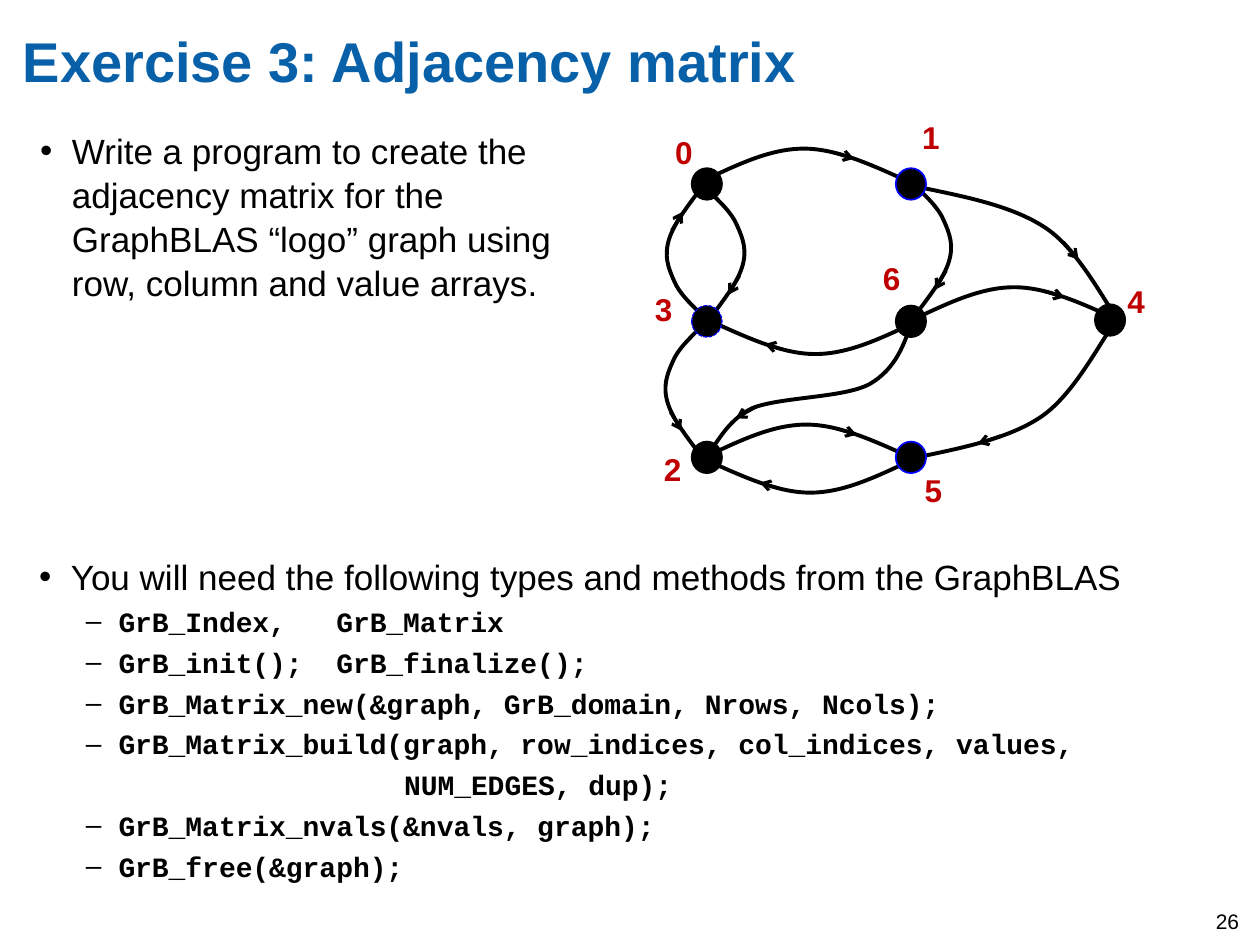
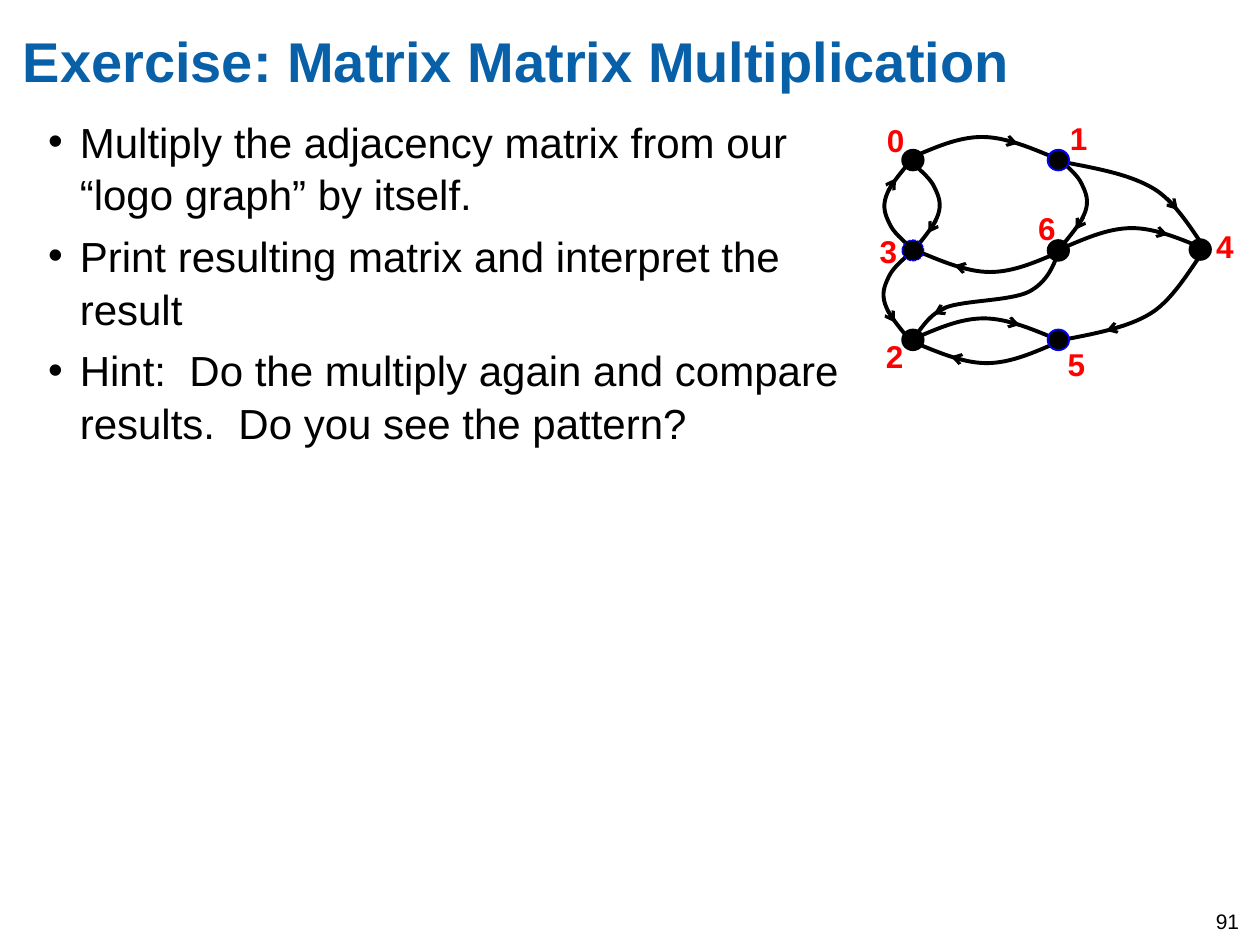
from lxml.etree import SubElement
from pptx import Presentation
from pptx.dml.color import RGBColor
from pptx.enum.dml import MSO_LINE
from pptx.enum.shapes import MSO_CONNECTOR as CONNECTOR, MSO_SHAPE as SHAPE
from pptx.oxml.ns import qn
from pptx.util import Cm, Pt

BLACK = RGBColor(0, 0, 0)
BLUE = RGBColor(0, 0, 0xFF)
TITLE_BLUE = RGBColor(0x08, 0x60, 0xA8)
DARK_RED = RGBColor(0xC0, 0, 0)
RED = RGBColor(0xFF, 0, 0)

# Paragraph styles: left margin, first-line indent, bullet, font, size, bold
PLAIN = (0, 0, None, "Arial", 12, False)
TITLE = (0, 0, None, "Arial", 32, True)
LABEL = (0, 0, None, "Arial", 18, True)
POINT = (0.64, -0.64, "•", "Arial", 20, False)
BIG_POINT = (0.64, -0.64, "•", "Arial", 24, False)
CODE = (1.6, -0.66, "–", "Courier New", 16, True)
CODE_MORE = (0.94, 0, None, "Courier New", 16, True)

# Edge curves: Bezier points relative to the start, then the arrow's ends
outer_points = [(-0.10, 0.12), (-0.32, 0.57), (-0.59, 0.75),
                (-0.86, 0.93), (-1.24, 1.00), (-1.62, 1.08)]
CURVES = {
    "arch": ([(0.26, -0.12), (0.52, -0.25), (0.79, -0.25),
              (1.06, -0.25), (1.35, -0.11), (1.64, 0.02)],
             [(1.02, -0.22), (1.19, -0.17)]),
    "bulge": ([(0.10, 0.10), (0.20, 0.19), (0.24, 0.29),
               (0.29, 0.40), (0.32, 0.49), (0.28, 0.62),
               (0.24, 0.75), (0.12, 0.90), (0, 1.06)],
              [(0.26, 0.69), (0.17, 0.84)]),
    "wave": ([(0.07, -0.06), (0.15, -0.27), (0.36, -0.37),
              (0.58, -0.46), (1.08, -0.45), (1.29, -0.56),
              (1.50, -0.68), (1.57, -0.88), (1.63, -1.07)],
             [(0.39, -0.38), (0.23, -0.29)]),
    "outer in": (outer_points, [(-0.45, 0.64), (-0.33, 0.50)]),
    "outer out": (outer_points, [(-0.91, 0.90), (-1.09, 0.96)]),
}

# Edges: curve, start x and y, horizontal and vertical direction
EDGES = [
    ("bulge", 0.59, 1.52, -1, -1),     # 3 to 0
    ("bulge", 0.61, 0.50, 1, 1),       # 0 to 3
    ("arch", 0.59, 0.43, 1, 1),        # 0 to 1
    ("wave", 0.61, 2.61, 1, 1),        # 6 to 2
    ("arch", 2.26, 1.53, 1, 1),        # 6 to 4
    ("arch", 0.61, 2.62, 1, 1),        # 2 to 5
    ("arch", 2.22, 2.66, -1, -1),      # 5 to 2
    ("arch", 2.26, 1.56, -1, -1),      # 6 to 3
    ("bulge", 0.58, 1.58, -1, 1),      # 3 to 2
    ("bulge", 2.25, 0.46, 1, 1),       # 1 to 6
    ("outer out", 3.85, 1.56, 1, 1),   # 4 to 5
    ("outer in", 3.89, 1.56, 1, -1),   # 1 to 4
]

# Nodes: centre, outline colour, label corner
NODES = [
    (0.61, 0.46, BLACK, 0.26, 0.01),
    (2.23, 0.46, BLUE, 2.22, -0.11),
    (0.61, 2.63, BLACK, 0.17, 2.52),
    (0.61, 1.55, BLUE, 0.10, 1.25),
    (3.81, 1.54, BLACK, 3.85, 1.19),
    (2.23, 2.63, BLUE, 2.24, 2.69),
    (2.23, 1.55, BLACK, 1.91, 1.01),
]
NODE_WIDTH, NODE_HEIGHT = 0.24, 0.25


def add_text(shapes, area, lines, color=BLACK, inset=None, wrap=True):
    """Add a text box; lines holds (text, paragraph style) pairs."""
    box = shapes.add_textbox(*[Cm(length) for length in area])
    frame = box.text_frame
    frame.word_wrap = wrap
    if inset is not None:
        frame.margin_left = frame.margin_right = Cm(inset)
        frame.margin_top = frame.margin_bottom = Cm(inset)
    for number, (text, style) in enumerate(lines):
        margin, indent, bullet, font, size, bold = style
        para = frame.paragraphs[0] if number == 0 else frame.add_paragraph()
        para.text = text
        if margin:
            properties = para._p.get_or_add_pPr()
            properties.set("marL", str(Cm(margin)))
            properties.set("indent", str(Cm(indent)))
            if bullet:
                SubElement(properties, qn("a:buFont"), typeface="Arial")
                SubElement(properties, qn("a:buChar"), char=bullet)
            else:
                SubElement(properties, qn("a:buNone"))
            para.line_spacing = 1.05
            if number:
                para.space_before = Pt(0.2 * size)
        for span in para.runs:
            span.font.name = font
            span.font.size = Pt(size)
            span.font.bold = bold
            span.font.color.rgb = color


def add_graph(page, left, top, scale_x, scale_y, label_color, nudges):
    """Draw the seven-node graph; nudges shifts single labels, in cm."""
    shapes = page.shapes.add_group_shape().shapes

    # Edges with their arrows
    for name, start_x, start_y, flip_x, flip_y in EDGES:
        points, arrow = [
            [(Cm(left + scale_x * (start_x + flip_x * x)),
              Cm(top + scale_y * (start_y + flip_y * y))) for x, y in part]
            for part in CURVES[name]]
        builder = shapes.build_freeform(Cm(left + scale_x * start_x),
                                        Cm(top + scale_y * start_y))
        builder.add_line_segments(points, close=False)
        edge = builder.convert_to_shape()
        edge.fill.background()
        edge.shadow.inherit = False
        edge.line.color.rgb = BLACK
        edge.line.width = Pt(2.25)

        # Every three line segments become one Bezier segment
        segments = list(edge.element.iter(qn("a:lnTo")))
        for first, second, third in zip(*[iter(segments)] * 3):
            first.tag = qn("a:cubicBezTo")
            for extra in (second, third):
                first.append(extra[0])
                extra.getparent().remove(extra)

        tip = shapes.add_connector(CONNECTOR.STRAIGHT, *arrow[0], *arrow[1])
        tip.line.color.rgb = BLACK
        tip.line.width = Pt(1.75)
        SubElement(tip.element.find(".//" + qn("a:ln")), qn("a:tailEnd"), type="arrow")
        SubElement(tip.element.spPr, qn("a:effectLst"))

    # Nodes with their labels
    for number, (x, y, outline, label_x, label_y) in enumerate(NODES):
        node = shapes.add_shape(
            SHAPE.OVAL,
            Cm(left + scale_x * (x - NODE_WIDTH / 2)),
            Cm(top + scale_y * (y - NODE_HEIGHT / 2)),
            Cm(scale_x * NODE_WIDTH), Cm(scale_y * NODE_HEIGHT))
        node.shadow.inherit = False
        node.fill.solid()
        node.fill.fore_color.rgb = BLACK
        node.line.color.rgb = outline
        node.line.width = Pt(1)
        if number == 3:
            node.line.width = Pt(0.75)
            node.line.dash_style = MSO_LINE.SQUARE_DOT
        shift_x, shift_y = nudges.get(number, (0, 0))
        area = (left + scale_x * label_x + shift_x,
                top + scale_y * label_y + shift_y, 0.86, 1.02)
        add_text(shapes, area, [(str(number), LABEL)], label_color, wrap=False)


deck = Presentation()
deck.slide_width, deck.slide_height = Cm(25.4), Cm(19.05)

# Shared title and page number
pages = []
for title, number in [("Exercise 3: Adjacency matrix", "26"),
                      ("Exercise: Matrix Matrix Multiplication", "91")]:
    page = deck.slides.add_slide(deck.slide_layouts[6])
    add_text(page.shapes, (0.46, 0.53, 24.94, 2.46), [(title, TITLE)], TITLE_BLUE, 0)
    add_text(page.shapes, (24.26, 18.19, 1.14, 0.84), [(number, PLAIN)], wrap=False)
    pages.append(page)
matrix_page, product_page = pages

# Adjacency matrix: task, types and methods, graph
add_text(matrix_page.shapes, (0.81, 2.57, 11.66, 6.2), [
    ("Write a program to create the adjacency matrix for the GraphBLAS “logo” "
     "graph using row, column and value arrays.", POINT)], inset=0)
add_text(matrix_page.shapes, (0.79, 11.15, 23.9, 7.14), [
    ("You will need the following types and methods from the GraphBLAS", POINT),
    ("GrB_Index,   GrB_Matrix", CODE),
    ("GrB_init();  GrB_finalize();", CODE),
    ("GrB_Matrix_new(&graph, GrB_domain, Nrows, Ncols);", CODE),
    ("GrB_Matrix_build(graph, row_indices, col_indices, values,", CODE),
    ("                   NUM_EDGES, dup);", CODE_MORE),
    ("GrB_Matrix_nvals(&nvals, graph);", CODE),
    ("GrB_free(&graph);", CODE)], inset=0)
add_graph(matrix_page, 12.7, 2.54, 2.54, 2.54, DARK_RED, {})

# Matrix multiplication: task and smaller graph
add_text(product_page.shapes, (0.97, 2.29, 16.51, 13.44), [
    ("Multiply the adjacency matrix from our “logo graph” by itself.", BIG_POINT),
    ("Print resulting matrix and interpret the result", BIG_POINT),
    ("Hint:  Do the multiply again and compare results.  "
     "Do you see the pattern?", BIG_POINT)], inset=0)
add_graph(product_page, 17.3, 2.46, 1.81, 1.67, RED,
          {0: (-0.14, -0.17), 5: (-0.08, -0.13), 6: (-0.08, -0.05)})

deck.save("out.pptx")
